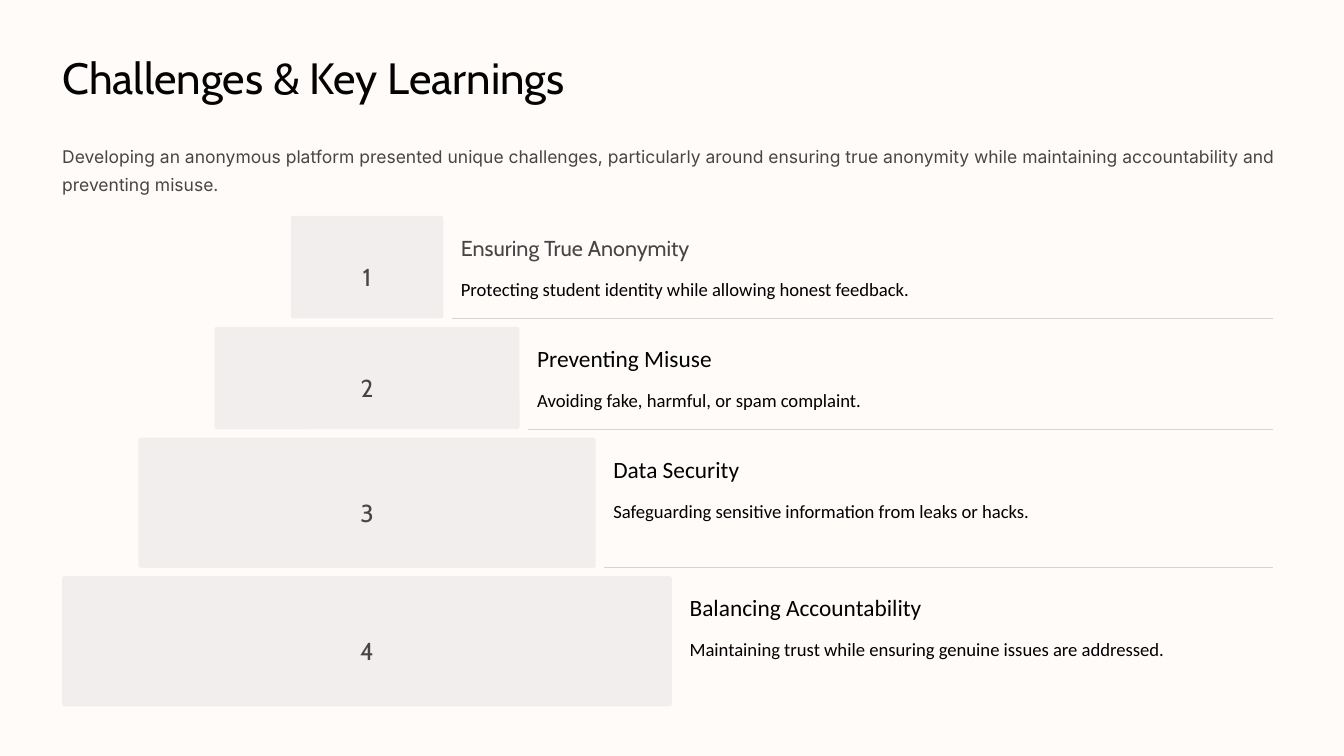
from lxml import etree
from pptx import Presentation
from pptx.dml.color import RGBColor
from pptx.enum import shapes, text
from pptx.oxml import ns
from pptx.util import Inches, Pt

COLORS = {
    "background": "FEFBF8",
    "title": "030303",
    "muted": "464646",
    "body": "000000",
    "bar": "F2EEEE",
    "rule": "D8D4D4",
}
LEFT, RIGHT = 0.74, 15.16
CENTER = 4.37
BAR_STEP = 1.815
GAP = 0.1

prs = Presentation()
prs.slide_width, prs.slide_height = Inches(16), Inches(9)
s = prs.slides.add_slide(prs.slide_layouts[6])
s.background.fill.solid()
s.background.fill.fore_color.rgb = RGBColor.from_string(COLORS["background"])


def add_text(content, x, y, w, h, font, size, color, spacing, align=text.PP_ALIGN.LEFT):
    tf = s.shapes.add_textbox(Inches(x), Inches(y), Inches(w), Inches(h)).text_frame
    tf.margin_left = tf.margin_right = tf.margin_top = tf.margin_bottom = 0
    tf.word_wrap = True
    p = tf.paragraphs[0]
    p.text = content
    p.alignment = align
    p.line_spacing = Pt(spacing)
    p.font.name = font
    p.font.size = Pt(size)
    p.font.color.rgb = RGBColor.from_string(COLORS[color])


add_text("Challenges & Key Learnings", LEFT, 0.58, 6.97, 0.66, "Cabin", 37.5, "title", 47)
add_text("Developing an anonymous platform presented unique challenges, particularly around "
         "ensuring true anonymity while maintaining accountability and preventing misuse.",
         LEFT, 1.66, 14.52, 0.68, "Inter", 15, "muted", 24)

# Bar height, heading, heading font, size and color, description
challenges = [
    (1.22, "Ensuring True Anonymity", "Cabin", 18.5, "muted",
     "Protecting student identity while allowing honest feedback."),
    (1.22, "Preventing Misuse", "Calibri", 20, "body",
     "Avoiding fake, harmful, or spam complaint."),
    (1.55, "Data Security", "Calibri", 20, "body",
     "Safeguarding sensitive information from leaks or hacks."),
    (1.55, "Balancing Accountability", "Calibri", 20, "body",
     "Maintaining trust while ensuring genuine issues are addressed."),
]

top = 2.57
for number, (height, heading, font, size, color, description) in enumerate(challenges, 1):
    width = BAR_STEP * number
    bar_right = CENTER + width / 2
    bottom = top + height

    bar = s.shapes.add_shape(shapes.MSO_SHAPE.ROUNDED_RECTANGLE, Inches(CENTER - width / 2),
                             Inches(top), Inches(width), Inches(height))
    bar.adjustments[0] = 0.03 / height
    bar.shadow.inherit = False
    bar.fill.solid()
    bar.fill.fore_color.rgb = RGBColor.from_string(COLORS["bar"])
    bar.line.fill.background()

    add_text(str(number), CENTER - 0.15, top + height / 2 - 0.18, 0.3, 0.37,
             "Cabin", 21, "muted", 34, text.PP_ALIGN.CENTER)
    text_left = bar_right + 0.21
    text_width = RIGHT - GAP - text_left
    add_text(heading, text_left, top + 0.21, text_width, 0.33, font, size, color, 23.5)
    add_text(description, text_left, top + 0.67, text_width, 0.34, "Calibri", 16, "body", 24)

    if number < len(challenges):
        rule = s.shapes.add_connector(shapes.MSO_CONNECTOR.STRAIGHT, Inches(bar_right + GAP),
                                      Inches(bottom), Inches(RIGHT), Inches(bottom))
        rule.line.color.rgb = RGBColor.from_string(COLORS["rule"])
        rule.line.width = Pt(1)
        etree.SubElement(rule.element.spPr, ns.qn("a:effectLst"))
    top = bottom + GAP

prs.save("out.pptx")
